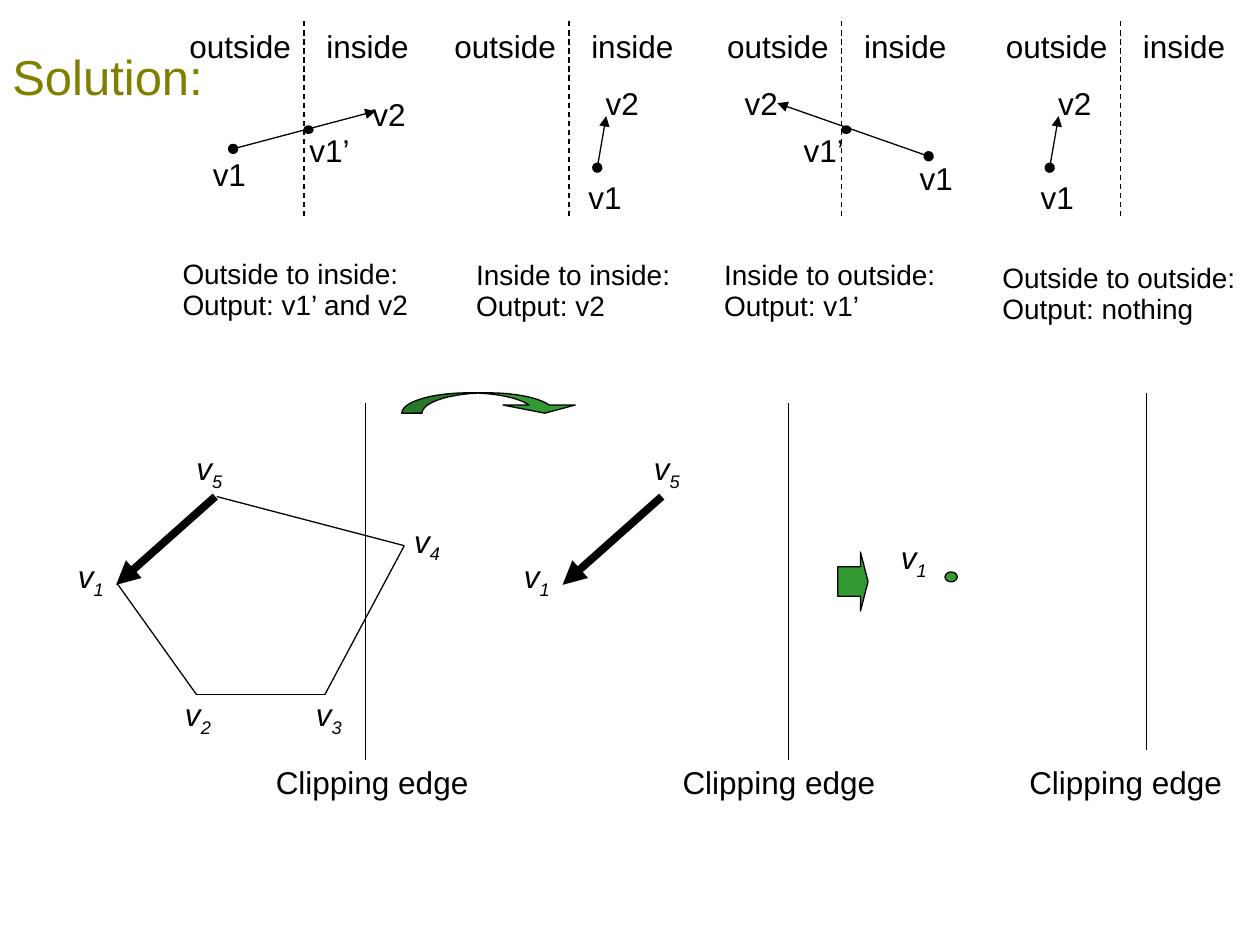
import dataclasses

import pptx
import pptx.dml.color
import pptx.enum.dml
import pptx.enum.shapes
import pptx.enum.text
import pptx.oxml
import pptx.oxml.ns
import pptx.util
from pptx.util import Cm

SHAPES = pptx.enum.shapes.MSO_SHAPE


@dataclasses.dataclass(frozen=True)
class Theme:
    font: str = "Arial"
    title_color: str = "808000"
    ink: str = "000000"
    green: str = "339933"
    title_size: int = 28
    label_size: int = 18
    caption_size: int = 16
    thin: float = 0.75
    thick: float = 4.5
    spacing: float = 0.93


class Painter:
    def __init__(self, theme, page):
        self.theme = theme
        self.page = page

    def color(self, value):
        return pptx.dml.color.RGBColor.from_string(value)

    def element(self, parent, tag, **attributes):
        child = parent.makeelement(pptx.oxml.ns.qn(tag), attributes)
        parent.append(child)
        return child

    def span(self, para, text, size, color, italic=False, subscript=False):
        span = para.add_run()
        span.text = text
        span.font.name = self.theme.font
        span.font.size = pptx.util.Pt(size)
        span.font.color.rgb = self.color(color)
        if italic:
            span.font.italic = True
        if subscript:
            span._r.get_or_add_rPr().set("baseline", "-25000")

    def frame(self, x, y, width, height, wrap=False):
        box = self.page.shapes.add_textbox(Cm(x), Cm(y), Cm(width), Cm(height))
        box.text_frame.word_wrap = wrap
        if not wrap:
            box.text_frame.auto_size = pptx.enum.text.MSO_AUTO_SIZE.SHAPE_TO_FIT_TEXT
        return box.text_frame

    def text(self, x, y, width, height, lines, size=None, color=None, wrap=False, tab=None):
        frame = self.frame(x, y, width, height, wrap)
        for index, line in enumerate(lines):
            para = frame.add_paragraph() if index else frame.paragraphs[0]
            para.line_spacing = self.theme.spacing
            if tab:
                stops = self.element(para._p.get_or_add_pPr(), "a:tabLst")
                self.element(stops, "a:tab", pos=str(Cm(tab)), algn="l")
            self.span(para, line, size or self.theme.label_size, color or self.theme.ink)
        return frame

    def vertex(self, number, x, y):
        para = self.frame(x, y, 1.15, 1.07).paragraphs[0]
        para.line_spacing = self.theme.spacing
        size, ink = self.theme.label_size, self.theme.ink
        self.span(para, "v", size, ink, italic=True)
        self.span(para, number, size, ink, italic=True, subscript=True)

    def line(self, start, end, width=None, dashed=False, head=None, tail=None):
        line = self.page.shapes.add_connector(
            pptx.enum.shapes.MSO_CONNECTOR.STRAIGHT, *map(Cm, start + end))
        line.line.width = pptx.util.Pt(width or self.theme.thin)
        line.line.color.rgb = self.color(self.theme.ink)
        if dashed:
            line.line.dash_style = pptx.enum.dml.MSO_LINE.DASH
        stroke = line.line._get_or_add_ln()
        for tag, kind in (("a:headEnd", head), ("a:tailEnd", tail)):
            if kind:
                self.element(stroke, tag, type=kind)
        self.element(line._element.spPr, "a:effectLst")

    def shape(self, kind, x, y, width, height, fill, adjustments=()):
        shape = self.page.shapes.add_shape(kind, Cm(x), Cm(y), Cm(width), Cm(height))
        shape.shadow.inherit = False
        shape.fill.solid()
        shape.fill.fore_color.rgb = self.color(fill)
        shape.line.color.rgb = self.color(self.theme.ink)
        shape.line.width = pptx.util.Pt(self.theme.thin)
        for index, value in enumerate(adjustments):
            shape.adjustments[index] = value


# Each case: boundary x, segment start and end, labels, caption place and lines
CASES = [
    (6.13, (4.7, 3), (7.57, 2.24),
     [("v1", 4.04, 3.07), ("v1’", 5.99, 2.59), ("v2", 7.26, 1.85)],
     (3.43, 5.11, 5.2), ["Outside to inside:", "Output: v1’ and v2"]),
    (11.47, (12.04, 3.38), (12.22, 2.34),
     [("v1", 11.61, 3.53), ("v2", 11.96, 1.63)],
     (9.35, 5.13, 4.55), ["Inside to inside:", "Output: v2"]),
    (16.97, (18.72, 3.15), (15.67, 2.08),
     [("v1", 18.29, 3.15), ("v1’", 15.95, 2.59), ("v2", 14.76, 1.63)],
     (14.35, 5.13, 4.9), ["Inside to outside:", "Output: v1’"]),
    (22.59, (21.16, 3.38), (21.34, 2.34),
     [("v1", 20.73, 3.53), ("v2", 21.08, 1.63)],
     (19.96, 5.18, 5.35), ["Outside to outside:", "Output: nothing"]),
]
POLYGON = [(4.37, 10.01), (8.15, 11), (6.55, 14), (3.96, 14), (2.36, 11.76)]
VERTICES = [("1", 1.32, 11.1), ("5", 3.71, 8.92), ("2", 3.48, 13.89),
            ("3", 6.12, 13.89), ("4", 8.1, 10.39),
            ("1", 10.31, 11.1), ("5", 12.93, 8.92), ("1", 17.91, 10.72)]
# Clipping edge x, top y, label x
CLIPPING_EDGES = [(7.37, 8.13, 5.31), (15.9, 8.13, 13.51), (23.11, 7.92, 20.5)]


def main():
    deck = pptx.Presentation()
    deck.slide_width, deck.slide_height = Cm(25.4), Cm(19.05)
    theme = Theme()
    painter = Painter(theme, deck.slides.add_slide(deck.slide_layouts[6]))

    # Title
    title = painter.text(0, 0, 22.86, 3.18, ["Solution:"], theme.title_size,
                         theme.title_color, wrap=True)
    title.vertical_anchor = pptx.enum.text.MSO_ANCHOR.MIDDLE

    # Polygon and the edge being clipped
    for start, end in zip(POLYGON, POLYGON[1:]):
        painter.line(start, end)
    for shift in (0, 9):
        painter.line((4.34 + shift, 10.01), (2.34 + shift, 11.79),
                     theme.thick, tail="triangle")
    for vertex in VERTICES:
        painter.vertex(*vertex)

    # Clipping edges
    for x, top, label_x in CLIPPING_EDGES:
        painter.line((x, top), (x, top + 7.19))
        painter.text(label_x, 15.32, 4.5, 0.97, ["Clipping edge"])

    # Step arrows and the resulting point
    painter.shape(SHAPES.CURVED_DOWN_ARROW, 8.1, 7.92, 3.61, 0.41, theme.green,
                  (1.77, 3.55, 0.4))
    painter.shape(SHAPES.RIGHT_ARROW, 16.89, 11.13, 0.61, 1.19, theme.green, (0.5, 0.25))
    painter.shape(SHAPES.OVAL, 19.05, 11.53, 0.25, 0.2, theme.green)

    # The four clipping cases
    for boundary, start, end, labels, place, caption in CASES:
        painter.line((boundary, 0.43), (boundary, 4.37), dashed=True)
        painter.text(boundary - 2.56, 0.49, 5.1, 0.97, ["outside\tinside"],
                     wrap=True, tab=2.76)
        painter.line(start, end, head="oval", tail="triangle")
        for label, x, y in labels:
            painter.text(x, y, 1.45 if label == "v1’" else 1.25, 0.97, [label])
        if len(labels) == 3:
            painter.shape(SHAPES.OVAL, boundary, 2.54, 0.18, 0.15, theme.ink)
        painter.text(*place, 1.52, caption, theme.caption_size)

    deck.save("out.pptx")


if __name__ == "__main__":
    main()
